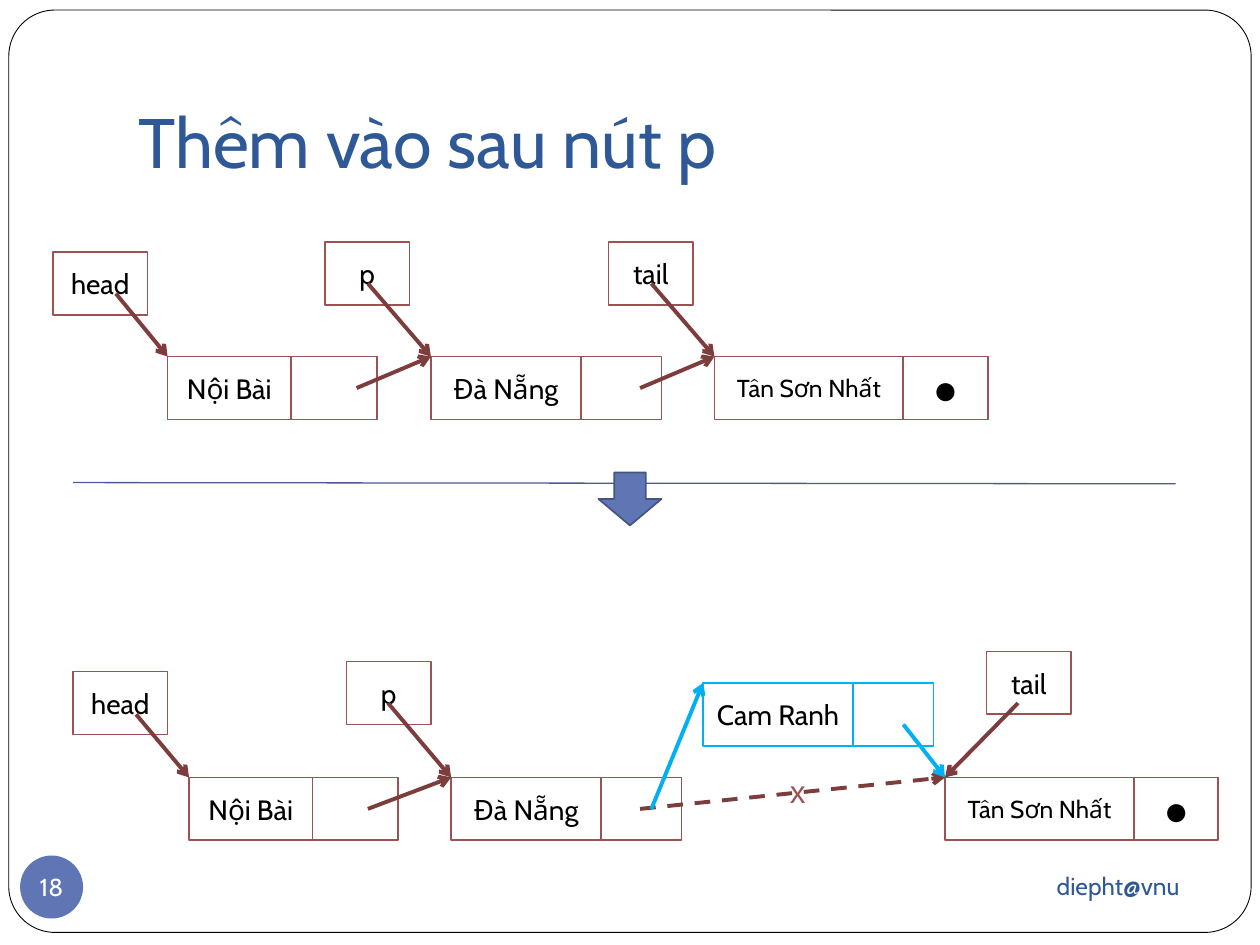
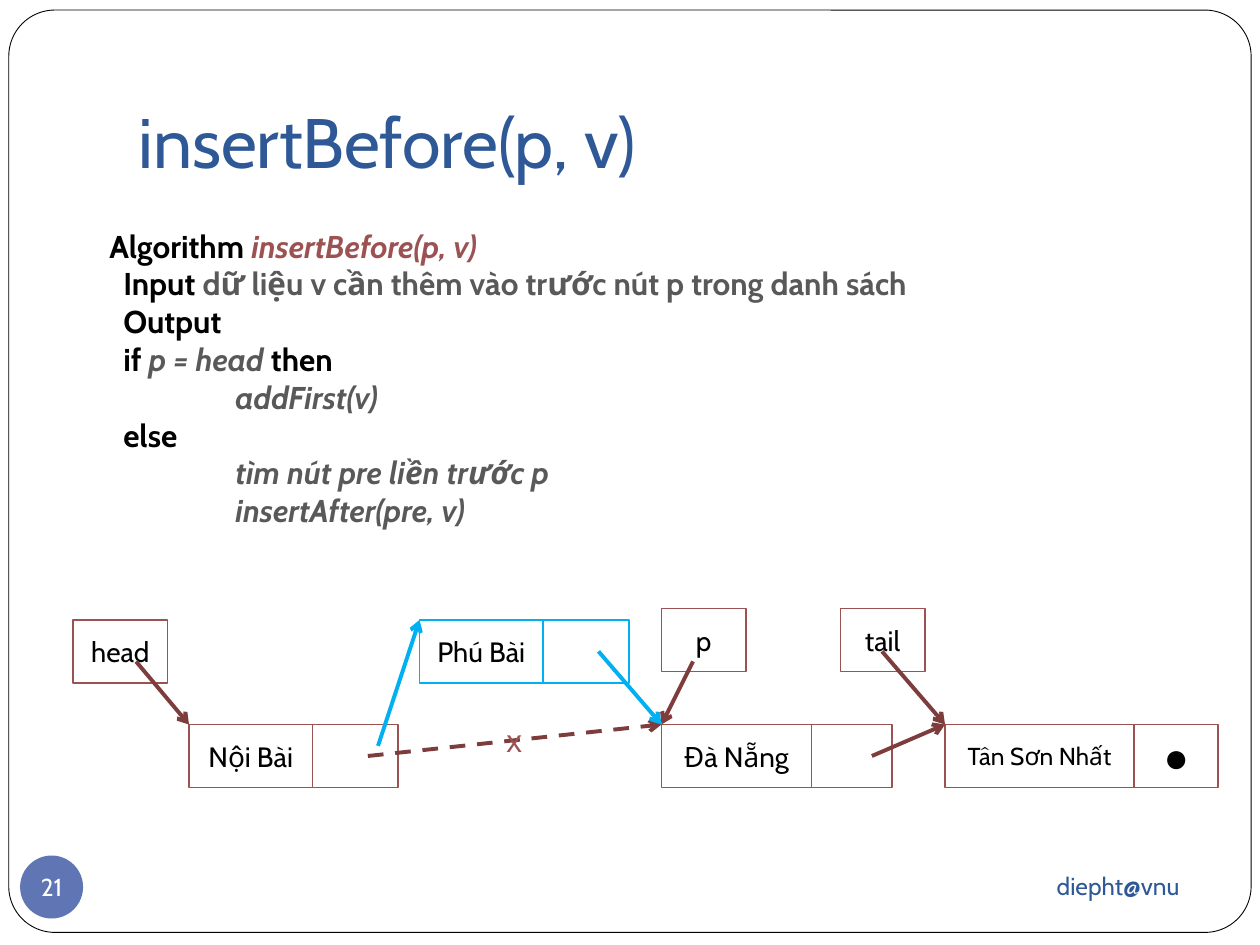
from dataclasses import dataclass
from typing import Optional

import lxml.etree
import pptx
import pptx.dml.color
import pptx.enum.dml
import pptx.enum.shapes
import pptx.enum.text
import pptx.oxml.ns
import pptx.util

Inches = pptx.util.Inches
Pt = pptx.util.Pt
Shape = pptx.enum.shapes.MSO_SHAPE
Anchor = pptx.enum.text.MSO_ANCHOR
Align = pptx.enum.text.PP_ALIGN
qualified = pptx.oxml.ns.qn

COLORS = {
    "white": "FFFFFF", "black": "000000", "title": "2F5897",
    "node": "9C5252", "arrow": "7E3D3D", "new": "00B0F0",
    "accent": "6076B4", "accent_edge": "445583", "divider": "485B92",
    "grey": "595959",
}
FONT = "Cabin"
CELL_HEIGHT = 0.5


@dataclass(frozen=True)
class Span:
    text: str
    size: float = 16
    color: str = "black"
    font: str = FONT
    bold: bool = False
    italic: bool = False


@dataclass(frozen=True)
class Airport:
    name: str
    name_width: float
    link_width: float
    size: float = 16
    link_text: str = ""


@dataclass(frozen=True)
class Node:
    airport: Airport
    left: float
    top: float
    color: str = "node"


@dataclass(frozen=True)
class Pointer:
    name: str
    left: float
    top: float
    width: float = 0.67


@dataclass(frozen=True)
class Arrow:
    start: tuple[float, float]
    target: Node
    color: str = "arrow"
    dashed: bool = False


@dataclass(frozen=True)
class ListDiagram:
    nodes: list[Node]
    pointers: list[Pointer]
    arrows: list[Arrow]
    cross: Optional[tuple[float, float]] = None


@dataclass(frozen=True)
class CodeLine:
    indent: float
    spans: list[Span]


NOI_BAI = Airport("Nội Bài", 0.98, 0.68)
PHU_BAI = Airport("Phú Bài", 0.98, 0.68)
DA_NANG = Airport("Đà Nẵng", 1.19, 0.64)
CAM_RANH = Airport("Cam Ranh", 1.19, 0.64)
TAN_SON_NHAT = Airport("Tân Sơn Nhất", 1.5, 0.67, 14, "●")


# Basic drawing
def rgb(name: str) -> pptx.dml.color.RGBColor:
    return pptx.dml.color.RGBColor.from_string(COLORS[name])


def add_span(para, span: Span) -> None:
    run = para.add_run()
    run.text = span.text
    run.font.name = span.font
    run.font.size = Pt(span.size)
    run.font.bold = span.bold
    run.font.italic = span.italic
    run.font.color.rgb = rgb(span.color)


def add_box(shapes, kind, left: float, top: float, width: float, height: float,
            fill: str = "white", line: Optional[str] = "node",
            weight: float = 1, span: Optional[Span] = None):
    box = shapes.add_shape(kind, Inches(left), Inches(top), Inches(width), Inches(height))
    box.shadow.inherit = False
    box.fill.solid()
    box.fill.fore_color.rgb = rgb(fill)
    if line:
        box.line.color.rgb = rgb(line)
        box.line.width = Pt(weight)
    else:
        box.line.fill.background()
    if span:
        box.text_frame.vertical_anchor = Anchor.MIDDLE
        para = box.text_frame.paragraphs[0]
        para.alignment = Align.CENTER
        add_span(para, span)
    return box


def add_text(page, left: float, top: float, width: float, height: float,
             span: Optional[Span] = None, anchor=Anchor.TOP, align=Align.LEFT):
    box = page.shapes.add_textbox(Inches(left), Inches(top), Inches(width), Inches(height))
    frame = box.text_frame
    frame.word_wrap = True
    frame.vertical_anchor = anchor
    frame.paragraphs[0].alignment = align
    if span:
        add_span(frame.paragraphs[0], span)
    return frame


def add_line(page, start: tuple[float, float], end: tuple[float, float],
             color: str, weight: float):
    line = page.shapes.add_connector(
        pptx.enum.shapes.MSO_CONNECTOR.STRAIGHT, *map(Inches, start + end))
    line.line.color.rgb = rgb(color)
    line.line.width = Pt(weight)
    lxml.etree.SubElement(line._element.spPr, qualified("a:effectLst"))
    return line


# Linked list parts
def draw_node(page, node: Node) -> None:
    airport = node.airport
    group = page.shapes.add_group_shape()
    add_box(group.shapes, Shape.RECTANGLE, node.left, node.top, airport.name_width,
            CELL_HEIGHT, line=node.color, span=Span(airport.name, airport.size))
    link = Span(airport.link_text, 24, font="Arial") if airport.link_text else None
    add_box(group.shapes, Shape.RECTANGLE, node.left + airport.name_width, node.top,
            airport.link_width, CELL_HEIGHT, line=node.color, span=link)


def draw_arrow(page, arrow: Arrow) -> None:
    corner = (arrow.target.left, arrow.target.top)
    line = add_line(page, arrow.start, corner, arrow.color, 2.25)
    if arrow.dashed:
        line.line.dash_style = pptx.enum.dml.MSO_LINE.DASH
    outline = line._element.spPr.find(qualified("a:ln"))
    lxml.etree.SubElement(outline, qualified("a:tailEnd"), type="arrow")


def draw_diagram(page, diagram: ListDiagram) -> None:
    for node in diagram.nodes:
        draw_node(page, node)
    for pointer in diagram.pointers:
        add_box(page.shapes, Shape.RECTANGLE, pointer.left, pointer.top,
                pointer.width, CELL_HEIGHT, span=Span(pointer.name))
    for arrow in diagram.arrows:
        draw_arrow(page, arrow)
    if diagram.cross:
        add_text(page, *diagram.cross, 0.32, 0.4, Span("x", 18, "node", "Arial"))


# Shared page: frame, title, footer, page number
def add_page(deck, title: str, number: int):
    page = deck.slides.add_slide(deck.slide_layouts[6])
    frame = add_box(page.shapes, Shape.ROUNDED_RECTANGLE, 0.07, 0.08, 9.86, 7.32,
                    line="black", weight=0.5)
    frame.adjustments[0] = 0.05
    heading = add_text(page, 1, 0.3, 8.5, 1.25, Span(title, 40, "title"), Anchor.BOTTOM)
    heading.margin_bottom = Inches(0.1)
    add_text(page, 6.75, 6.77, 2.71, 0.52, Span("diepht@vnu", 14, "title"),
             Anchor.MIDDLE, Align.RIGHT)
    badge = add_box(page.shapes, Shape.OVAL, 0.16, 6.79, 0.5, 0.5, "accent", None,
                    span=Span(str(number), 14, "white")).text_frame
    badge.word_wrap = False
    badge.margin_left = badge.margin_right = badge.margin_top = badge.margin_bottom = 0
    return page


def build_insert_after(deck) -> None:
    page = add_page(deck, "Thêm vào sau nút p", 18)

    # List before the insertion
    first, second, last = (Node(NOI_BAI, 1.33, 2.83), Node(DA_NANG, 3.42, 2.83),
                           Node(TAN_SON_NHAT, 5.67, 2.83))
    draw_diagram(page, ListDiagram(
        [first, second, last],
        [Pointer("head", 0.42, 2, 0.75), Pointer("p", 2.58, 1.92),
         Pointer("tail", 4.83, 1.92)],
        [Arrow((2.83, 3.08), second), Arrow((5.08, 3.08), last),
         Arrow((0.92, 2.33), first), Arrow((2.92, 2.25), second),
         Arrow((5.17, 2.25), last)]))

    # Divider
    add_line(page, (0.58, 3.83), (9.33, 3.84), "divider", 0.75)
    add_box(page.shapes, Shape.DOWN_ARROW, 4.75, 3.75, 0.5, 0.42, "accent", "accent_edge")

    # List after the insertion
    first, second, last = (Node(NOI_BAI, 1.5, 6.17), Node(DA_NANG, 3.58, 6.17),
                           Node(TAN_SON_NHAT, 7.5, 6.17))
    added = Node(CAM_RANH, 5.58, 5.42, "new")
    draw_diagram(page, ListDiagram(
        [first, second, last, added],
        [Pointer("head", 0.58, 5.33, 0.75), Pointer("p", 2.75, 5.25),
         Pointer("tail", 7.83, 5.17)],
        [Arrow((2.92, 6.42), second), Arrow((1.08, 5.67), first),
         Arrow((8.08, 5.58), last), Arrow((3.08, 5.58), second),
         Arrow((5.08, 6.42), last, dashed=True),
         Arrow((5.17, 6.42), added, "new"), Arrow((7.17, 5.75), last, "new")],
        (6.17, 6.08)))


# Algorithm text
def keyword(text: str) -> Span:
    return Span(text, 18, bold=True)


def detail(text: str, color: str = "grey", italic: bool = True) -> Span:
    return Span(text, 18, color, bold=True, italic=italic)


STEP, BODY = 0.11, 1.0
ALGORITHM = [
    CodeLine(0, [keyword("Algorithm "), detail("insertBefore(p, v)", "node")]),
    CodeLine(STEP, [keyword("Input "), detail(
        "dữ liệu v cần thêm vào trước nút p trong danh sách", italic=False)]),
    CodeLine(STEP, [keyword("Output")]),
    CodeLine(STEP, [keyword("if"), detail(" p = head "), keyword("then")]),
    CodeLine(BODY, [detail("addFirst(v)")]),
    CodeLine(STEP, [keyword("else")]),
    CodeLine(BODY, [detail("tìm nút pre liền trước p")]),
    CodeLine(BODY, [detail("insertAfter(pre, v)")]),
]


def build_insert_before(deck) -> None:
    page = add_page(deck, "insertBefore(p, v)", 21)

    code = add_text(page, 0.77, 1.75, 7.52, 2.5)
    for index, line in enumerate(ALGORITHM):
        para = code.add_paragraph() if index else code.paragraphs[0]
        para._p.get_or_add_pPr().set("marL", str(Inches(line.indent)))
        for span in line.spans:
            add_span(para, span)

    # List after the insertion
    first, second, last = (Node(NOI_BAI, 1.5, 5.75), Node(DA_NANG, 5.25, 5.75),
                           Node(TAN_SON_NHAT, 7.5, 5.75))
    added = Node(PHU_BAI, 3.33, 4.92, "new")
    draw_diagram(page, ListDiagram(
        [first, second, last, added],
        [Pointer("head", 0.58, 4.92, 0.75), Pointer("p", 5.25, 4.83),
         Pointer("tail", 6.67, 4.83)],
        [Arrow((2.92, 6), second, dashed=True), Arrow((6.92, 6), last),
         Arrow((1.08, 5.25), first), Arrow((7, 5.17), last),
         Arrow((5.5, 5.25), second),
         Arrow((4.75, 5.17), second, "new"), Arrow((3, 5.92), added, "new")],
        (3.92, 5.67)))


def main() -> None:
    deck = pptx.Presentation()
    deck.slide_width = Inches(10)
    deck.slide_height = Inches(7.5)
    build_insert_after(deck)
    build_insert_before(deck)
    deck.save("out.pptx")


if __name__ == "__main__":
    main()
